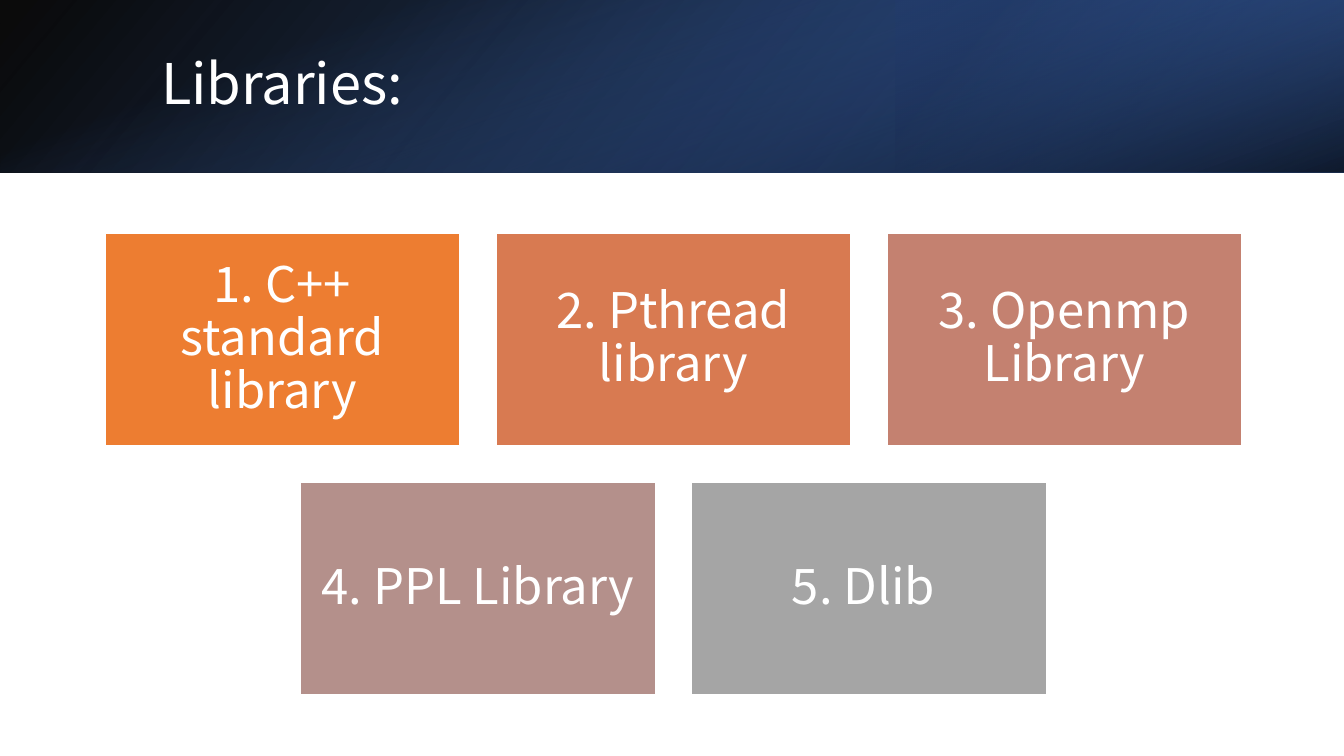
"""Build a slide that lists five libraries as coloured cards under a title band."""
from lxml import etree
from pptx import Presentation
from pptx import util as u
from pptx.dml.color import RGBColor
from pptx.enum import shapes, text
from pptx.oxml.ns import qn

WIDE, HIGH = 1344, 756
FONT = "Noto Sans CJK SC"
WHITE = RGBColor(0xFF, 0xFF, 0xFF)
BLACK = RGBColor(0x00, 0x00, 0x00)
NAVY = RGBColor(0x20, 0x38, 0x64)
DEEP = RGBColor(0x2F, 0x55, 0x97)
BLUE = RGBColor(0x44, 0x72, 0xC4)
CARDS = [
    ("1. C++ standard library", RGBColor(0xED, 0x7D, 0x31)),
    ("2. Pthread library", RGBColor(0xD8, 0x7A, 0x51)),
    ("3. Openmp Library", RGBColor(0xC4, 0x81, 0x70)),
    ("4. PPL Library", RGBColor(0xB4, 0x90, 0x8B)),
    ("5. Dlib ", RGBColor(0xA5, 0xA5, 0xA5)),
]


def px(n):
    """Turn pixels into EMU."""
    return u.Emu(round(n * 914400 / 100.8))


def write(shape, words, size, align, inset=None):
    """Put one formatted paragraph, centred in height, into a shape."""
    frame = shape.text_frame
    frame.word_wrap = True
    frame.vertical_anchor = text.MSO_ANCHOR.MIDDLE
    if inset is not None:
        frame.margin_left = frame.margin_right = px(inset)
        frame.margin_top = frame.margin_bottom = px(inset)
    para = frame.paragraphs[0]
    para.alignment = align
    para.line_spacing = 0.9
    run = para.add_run()
    run.text = words
    run.font.size = u.Pt(size)
    run.font.name = FONT
    run.font.color.rgb = WHITE


def block(slide, x, y, w, h):
    """Add a rectangle without a shadow."""
    shape = slide.shapes.add_shape(shapes.MSO_SHAPE.RECTANGLE, px(x), px(y), px(w), px(h))
    shape.shadow.inherit = False
    return shape


def sheen(slide, x, y, w, h, angle, stops, turn=0, flip=False):
    """Add a see-through gradient; stops hold position, colour and opacity in percent."""
    shape = block(slide, x, y, w, h)
    shape.line.fill.background()
    shape.rotation = turn
    if flip:
        shape._element.spPr.find(qn("a:xfrm")).set("flipH", "1")
    shape.fill.gradient()
    shape.fill.gradient_angle = 360 - angle
    for stop, (place, color, _) in zip(shape.fill.gradient_stops, stops):
        stop.position = place / 100
        stop.color.rgb = color
    tints = shape._element.spPr.iter(qn("a:srgbClr"))
    for tint, (_, _, solid) in zip(tints, stops):
        etree.SubElement(tint, qn("a:alpha")).set("val", str(solid * 1000))


def header(slide, x, y, w, h):
    """Layer the gradients of the band and lay the title over them."""
    sheen(slide, x, y, w, h, 140, [(0, BLACK, 96), (100, DEEP, 100)], flip=True)
    part = w // 3
    sheen(slide, x + w - part, y, part, h, 320,
          [(19, NAVY, 68), (100, BLUE, 79)], turn=180, flip=True)
    shift = (w - h) / 2
    sheen(slide, x + shift, y - shift, h, w, 340,
          [(23, BLUE, 0), (99, BLACK, 74)], turn=90)
    title = slide.shapes.title
    title.left, title.top = px(x + 151), px(y + 38)
    title.width, title.height = px(w - 237), px(97)
    write(title, "Libraries:", 40, text.PP_ALIGN.LEFT)
    slide.shapes._spTree.append(title._element)


def grid(slide, x, y, w, h, cols=3, gap=36):
    """Set the cards in centred rows that fill the box."""
    rows = [CARDS[i:i + cols] for i in range(0, len(CARDS), cols)]
    wide = (w - gap * (cols - 1)) / cols
    high = (h - gap * (len(rows) - 1)) / len(rows)
    for r, row in enumerate(rows):
        start = x + (cols - len(row)) * (wide + gap) / 2
        for c, (words, color) in enumerate(row):
            card = block(slide, start + c * (wide + gap), y + r * (high + gap), wide, high)
            card.fill.solid()
            card.fill.fore_color.rgb = color
            card.line.color.rgb = WHITE
            card.line.width = u.Pt(1)
            write(card, words, 35, text.PP_ALIGN.CENTER, inset=15)


def main():
    """Build and save the deck."""
    deck = Presentation()
    deck.slide_width, deck.slide_height = px(WIDE), px(HIGH)
    slide = deck.slides.add_slide(deck.slide_layouts[5])
    header(slide, 0, 0, WIDE, 173)
    grid(slide, 105, 233, 1137, 462)
    deck.save("out.pptx")


if __name__ == "__main__":
    main()
